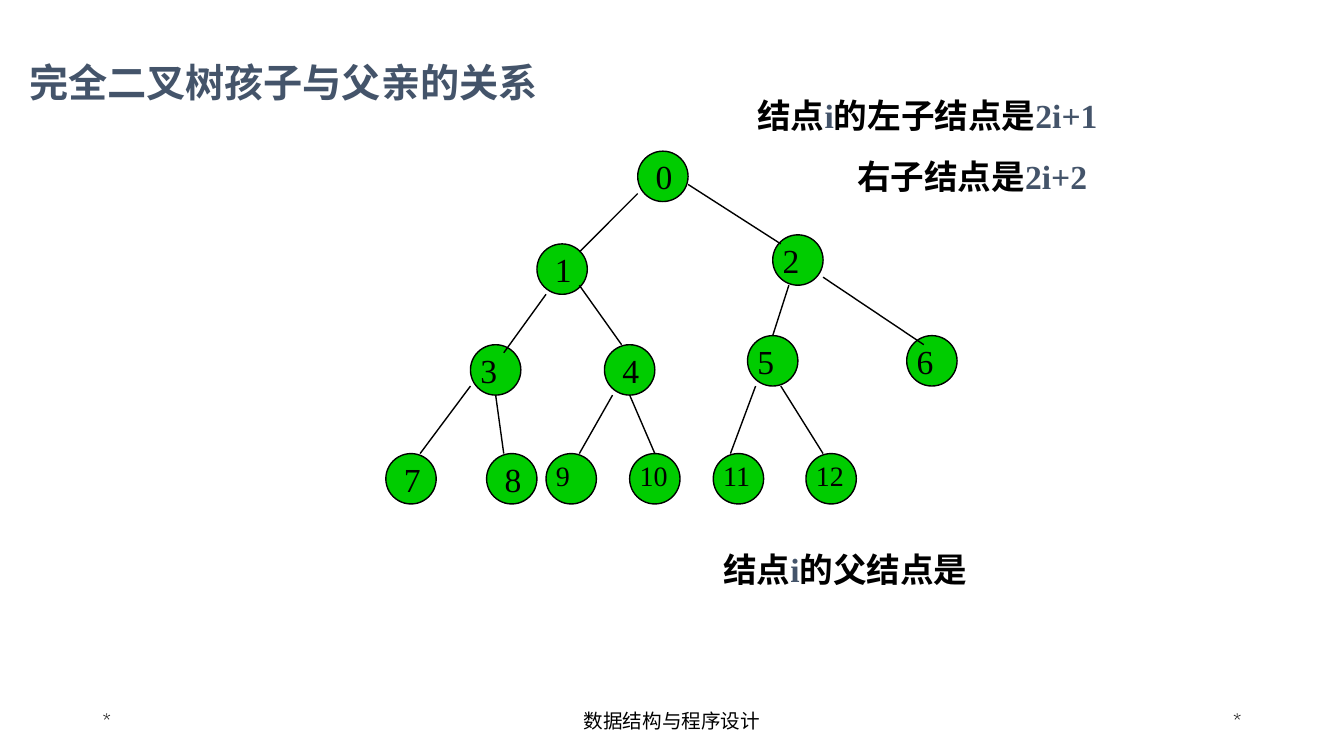
"""Build a slide on parent and child indices in a complete binary tree."""
from dataclasses import dataclass

import pptx
import pptx.dml.color
import pptx.enum.shapes
import pptx.enum.text
import pptx.oxml
import pptx.util

from pptx.util import Inches

BLACK = pptx.dml.color.RGBColor(0x00, 0x00, 0x00)
GREEN = pptx.dml.color.RGBColor(0x00, 0xCC, 0x00)
SLATE = pptx.dml.color.RGBColor(0x44, 0x54, 0x6A)
SERIF = "Times New Roman"
DIAMETER = 0.5
ALIGN = pptx.enum.text.PP_ALIGN
ANCHOR = pptx.enum.text.MSO_ANCHOR


@dataclass(frozen=True)
class Node:
    left: float
    top: float
    label_shift: float = 0
    label_size: float = 24


@dataclass(frozen=True)
class Edge:
    x1: float
    y1: float
    x2: float
    y2: float


@dataclass(frozen=True)
class Run:
    text: str
    color: pptx.dml.color.RGBColor = BLACK


@dataclass(frozen=True)
class Line:
    runs: tuple[Run, ...]
    indent: float = 0


@dataclass(frozen=True)
class Footer:
    left: float
    width: float
    text: str
    align: pptx.enum.text.PP_ALIGN


NODES = [
    Node(6.33, 1.5, 0.08),
    Node(5.33, 2.42, 0.08),
    Node(7.67, 2.33),
    Node(4.67, 3.42),
    Node(6, 3.42, 0.08),
    Node(7.42, 3.33),
    Node(9, 3.33),
    Node(3.83, 4.5, 0.08),
    Node(4.83, 4.5, 0.08),
    Node(5.42, 4.5, label_size=20),
    Node(6.25, 4.5, label_size=20),
    Node(7.08, 4.5, label_size=20),
    Node(8, 4.5, label_size=20),
]

EDGES = [
    Edge(6.33, 1.92, 5.75, 2.5),
    Edge(6.83, 1.83, 7.75, 2.42),
    Edge(5.42, 2.92, 5, 3.5),
    Edge(5.75, 2.83, 6.17, 3.42),
    Edge(7.83, 2.83, 7.67, 3.33),
    Edge(8.17, 2.75, 9.17, 3.42),
    Edge(4.67, 3.83, 4.17, 4.5),
    Edge(4.92, 3.92, 5, 4.5),
    Edge(6.08, 3.92, 5.75, 4.5),
    Edge(6.25, 3.92, 6.5, 4.5),
    Edge(7.5, 3.83, 7.25, 4.5),
    Edge(7.75, 3.83, 8.17, 4.5),
]

CHILD_RULE = (
    Line((Run("结点"), Run("i", SLATE), Run("的左子结点是"), Run("2i+1", SLATE))),
    Line((Run("右子结点是"), Run("2i+2", SLATE)), indent=0.99),
)
PARENT_RULE = (Line((Run("结点"), Run("i", SLATE), Run("的父结点是"))),)
TITLE = (Line((Run("完全二叉树孩子与父亲的关系", SLATE),)),)

FOOTERS = [
    Footer(0.92, 3, "*", ALIGN.LEFT),
    Footer(4.42, 4.5, "数据结构与程序设计", ALIGN.CENTER),
    Footer(9.42, 3, "*", ALIGN.RIGHT),
]


def add_text(slide, lines: tuple[Line, ...], left: float, top: float,
             width: float, height: float, *, size: float = 24,
             font: str = SERIF, bold: bool = False, space_before: float = 15,
             align: pptx.enum.text.PP_ALIGN = ALIGN.LEFT,
             anchor: pptx.enum.text.MSO_ANCHOR = ANCHOR.TOP) -> None:
    """Write formatted lines in a wrapping text box."""
    frame = slide.shapes.add_textbox(
        Inches(left), Inches(top), Inches(width), Inches(height)).text_frame
    frame.word_wrap = True
    frame.vertical_anchor = anchor
    for index, line in enumerate(lines):
        paragraph = frame.add_paragraph() if index else frame.paragraphs[0]
        paragraph.alignment = align
        if index:
            paragraph.space_before = pptx.util.Pt(space_before)
        if line.indent:
            paragraph._p.get_or_add_pPr().set("marL", str(Inches(line.indent)))
        for part in line.runs:
            run = paragraph.add_run()
            run.text = part.text
            run.font.name = font
            run.font.size = pptx.util.Pt(size)
            run.font.bold = bold
            run.font.color.rgb = part.color


def add_node(slide, index: int, node: Node) -> None:
    """Draw a tree node and its index."""
    circle = slide.shapes.add_shape(
        pptx.enum.shapes.MSO_SHAPE.OVAL, Inches(node.left), Inches(node.top),
        Inches(DIAMETER), Inches(DIAMETER))
    circle.shadow.inherit = False
    circle.fill.solid()
    circle.fill.fore_color.rgb = GREEN
    circle.line.color.rgb = BLACK
    circle.line.width = pptx.util.Pt(1)
    add_text(slide, (Line((Run(str(index)),)),), node.left + node.label_shift,
             node.top, DIAMETER, DIAMETER, size=node.label_size)


def add_edge(slide, edge: Edge) -> None:
    """Draw the line from a parent to a child."""
    branch = slide.shapes.add_connector(
        pptx.enum.shapes.MSO_CONNECTOR.STRAIGHT, Inches(edge.x1),
        Inches(edge.y1), Inches(edge.x2), Inches(edge.y2))
    branch.line.color.rgb = BLACK
    branch.line.width = pptx.util.Pt(1)
    branch._element.spPr.append(pptx.oxml.parse_xml(
        '<a:effectLst xmlns:a="http://schemas.openxmlformats.org/drawingml/2006/main"/>'))


def main() -> None:
    """Create and save the presentation."""
    deck = pptx.Presentation()
    deck.slide_width = Inches(13.34)
    deck.slide_height = Inches(7.5)
    slide = deck.slides.add_slide(deck.slide_layouts[6])
    for footer in FOOTERS:
        add_text(slide, (Line((Run(footer.text),)),), footer.left, 6.95,
                 footer.width, 0.4, size=14, font="Cabin",
                 align=footer.align, anchor=ANCHOR.MIDDLE)
    for index, node in enumerate(NODES):
        add_node(slide, index, node)
    for edge in EDGES:
        add_edge(slide, edge)
    add_text(slide, TITLE, 0.19, 0.53, 6.46, 0.57, size=28, bold=True)
    add_text(slide, CHILD_RULE, 7.42, 0.89, 3.96, 1.11, bold=True)
    add_text(slide, PARENT_RULE, 7.08, 5.4, 3.87, 0.5, bold=True)
    deck.save("out.pptx")


if __name__ == "__main__":
    main()
